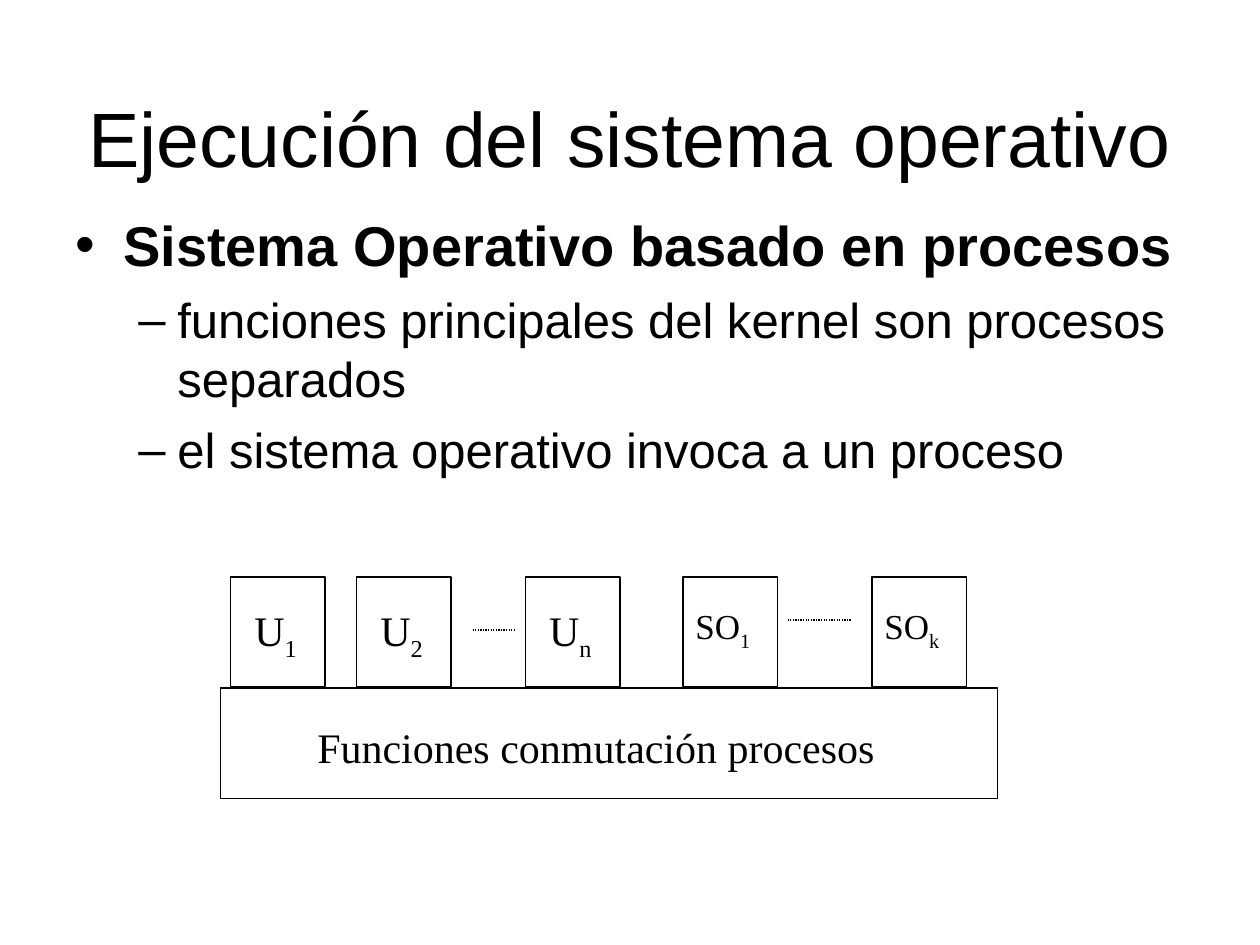
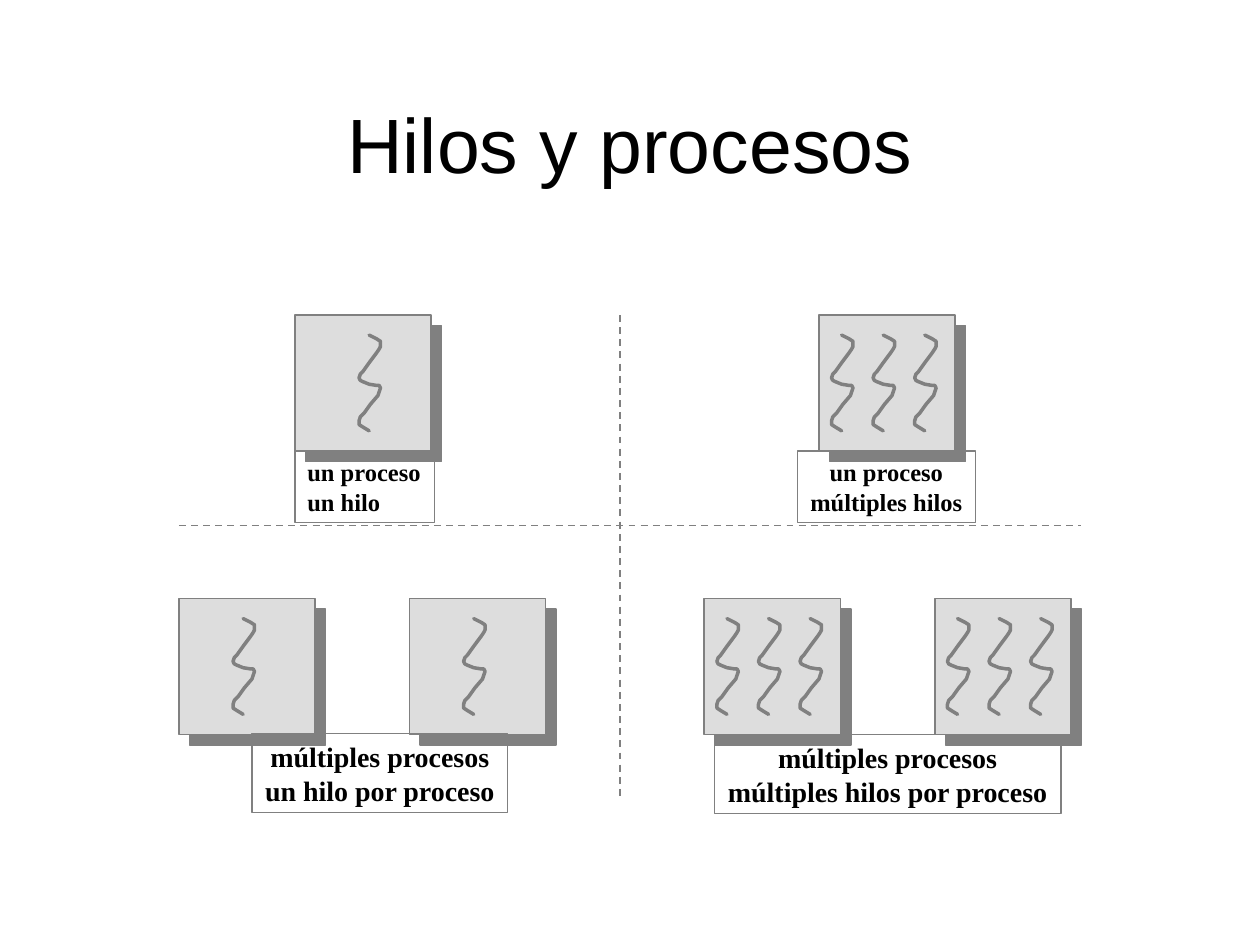
from lxml.etree import SubElement
from pptx import Presentation
from pptx.dml.color import RGBColor
from pptx.enum.dml import MSO_LINE
from pptx.enum.shapes import MSO_CONNECTOR, MSO_SHAPE
from pptx.enum.text import MSO_ANCHOR, MSO_AUTO_SIZE, PP_ALIGN
from pptx.oxml.ns import qn
from pptx.util import Pt

PX = 9144  # 100 px to the inch
BLACK, GRAY, LIGHT_GRAY = "000000", "808080", "DDDDDD"
SANS, SERIF = "Arial", "Times New Roman"

PROCESS_SIDE = 108
THREAD_LEFTS = (10, 43, 76)
THREAD_CURVE = [
    (8, 0), (14, 3), (17, 5), (17, 9), (16, 11), (14, 14), (8, 22), (3, 29),
    (1, 31), (0, 34), (1, 36), (3, 37), (8, 39), (14, 40), (16, 40), (17, 42),
    (16, 45), (15, 48), (9, 55), (4, 62), (1, 65), (0, 68), (0, 71), (3, 73),
    (8, 76),
]


def color(hex_text):
    return RGBColor.from_string(hex_text)


def px(*lengths):
    return [length * PX for length in lengths]


def write(frame, text, size, font=SERIF, bold=False, align=PP_ALIGN.LEFT,
          subscript="", bullet="", indent=0, hanging=0, space_before=0):
    """Add one paragraph to the frame, filling the first one if it is empty."""
    first = frame.paragraphs[0]
    para = frame.add_paragraph() if first.runs else first
    para.alignment = align
    para.space_before = Pt(space_before)
    if bullet:
        properties = para._p.get_or_add_pPr()
        properties.set("marL", str(indent * PX))
        properties.set("indent", str(-hanging * PX))
        SubElement(properties, qn("a:buFont")).set("typeface", font)
        SubElement(properties, qn("a:buChar")).set("char", bullet)
    for part in filter(None, (text, subscript)):
        span = para.add_run()
        span.text = part
        span.font.size = Pt(size)
        span.font.name = font
        span.font.bold = bold
        span.font.color.rgb = color(BLACK)
    if subscript:
        span._r.get_or_add_rPr().set("baseline", "-25000")


def add_text_box(page, left, top, width, height):
    frame = page.shapes.add_textbox(*px(left, top, width, height)).text_frame
    frame.word_wrap = True
    return frame


def add_title(page, text, left, top, width):
    frame = add_text_box(page, left, top, width, 125)
    frame.vertical_anchor = MSO_ANCHOR.BOTTOM
    write(frame, text, 44, SANS, align=PP_ALIGN.CENTER)


def add_box(page, left, top, width, height, line=BLACK, weight=0.75, fill=None):
    box = page.shapes.add_shape(MSO_SHAPE.RECTANGLE, *px(left, top, width, height))
    box.shadow.inherit = False
    if fill:
        box.fill.solid()
        box.fill.fore_color.rgb = color(fill)
    else:
        box.fill.background()
    box.line.color.rgb = color(line)
    box.line.width = Pt(weight)
    return box


def add_line(page, start, end, line, weight, dash):
    connector = page.shapes.add_connector(MSO_CONNECTOR.STRAIGHT, *px(*start, *end))
    connector.line.color.rgb = color(line)
    connector.line.width = Pt(weight)
    connector.line.dash_style = dash
    SubElement(connector._element.spPr, qn("a:effectLst"))


def add_hard_shadow(box):
    effects = box._element.spPr.find(qn("a:effectLst"))
    shadow = SubElement(effects, qn("a:outerShdw"), blurRad="0", dist=str(Pt(8.5)),
                        dir="2700000", algn="ctr", rotWithShape="0")
    SubElement(shadow, qn("a:srgbClr")).set("val", GRAY)


def add_thread(page, left, top):
    points = [(left + x, top + y) for x, y in THREAD_CURVE]
    builder = page.shapes.build_freeform(*points[0], scale=PX)
    builder.add_line_segments(points[1:], close=False)
    thread = builder.convert_to_shape()
    thread.shadow.inherit = False
    thread.fill.background()
    thread.line.color.rgb = color(GRAY)
    thread.line.width = Pt(2)
    outline = thread.line._get_or_add_ln()
    outline.set("cap", "rnd")
    SubElement(outline, qn("a:round"))


def add_process(page, left, top, thread_lefts):
    box = add_box(page, left, top, PROCESS_SIDE, PROCESS_SIDE, GRAY, 1, LIGHT_GRAY)
    add_hard_shadow(box)
    for thread_left in thread_lefts:
        add_thread(page, left + thread_left, top + 16)


def add_caption(page, left, top, width, height, lines, size, align=PP_ALIGN.CENTER):
    frame = add_box(page, left, top, width, height, GRAY).text_frame
    frame.word_wrap = False
    frame.auto_size = MSO_AUTO_SIZE.SHAPE_TO_FIT_TEXT
    frame.vertical_anchor = MSO_ANCHOR.TOP
    for line in lines:
        write(frame, line, size, bold=True, align=align)


def build_execution_page(page):
    add_title(page, "Ejecución del sistema operativo", 0, 25, 1000)
    body = add_text_box(page, 50, 162, 950, 456)
    write(body, "Sistema Operativo basado en procesos", 32, SANS, bold=True,
          bullet="•", indent=38, hanging=38, space_before=8)
    for text in ("funciones principales del kernel son procesos separados",
                 "el sistema operativo invoca a un proceso"):
        write(body, text, 28, SANS, bullet="–", indent=81, hanging=31, space_before=7)

    add_box(page, 175, 546, 617, 88)
    switching = add_text_box(page, 242, 568, 480, 50)
    write(switching, "Funciones conmutación procesos", 24)

    user, system = ("U", 24, 9, 67), ("SO", 20, 0, 100)
    for left, kind, index in ((183, user, "1"), (283, user, "2"), (417, user, "n"),
                              (542, system, "1"), (692, system, "k")):
        name, size, shift, width = kind
        add_box(page, left, 458, 75, 87)
        label = add_text_box(page, left + shift, 475, width, 56)
        write(label, name, size, subscript=index)
    for start, end in (((375, 500), (408, 500)), ((625, 492), (675, 492))):
        add_line(page, start, end, BLACK, 0.75, MSO_LINE.ROUND_DOT)


def build_threads_page(page):
    add_title(page, "Hilos y procesos", 50, 30, 900)
    middle = THREAD_LEFTS[1:2]
    for left, top, thread_lefts in (
            (234, 250, (51,)), (650, 250, THREAD_LEFTS),
            (142, 475, middle), (325, 475, middle),
            (559, 475, THREAD_LEFTS), (742, 475, THREAD_LEFTS)):
        add_process(page, left, top, thread_lefts)

    add_caption(page, 234, 358, 111, 57, ("un proceso", "un hilo"), 14, PP_ALIGN.LEFT)
    add_caption(page, 633, 358, 141, 57, ("un proceso", "múltiples hilos"), 14)
    add_caption(page, 200, 582, 203, 63,
                ("múltiples procesos", "un hilo por proceso"), 16)
    add_caption(page, 567, 583, 275, 63,
                ("múltiples procesos", "múltiples hilos por proceso"), 16)

    for start, end in (((492, 250), (492, 633)), ((142, 417), (858, 417))):
        add_line(page, start, end, GRAY, 1, MSO_LINE.DASH)


def main():
    deck = Presentation()
    deck.slide_width, deck.slide_height = px(1000, 750)
    for build in (build_execution_page, build_threads_page):
        build(deck.slides.add_slide(deck.slide_layouts[6]))
    deck.save("out.pptx")


if __name__ == "__main__":
    main()
